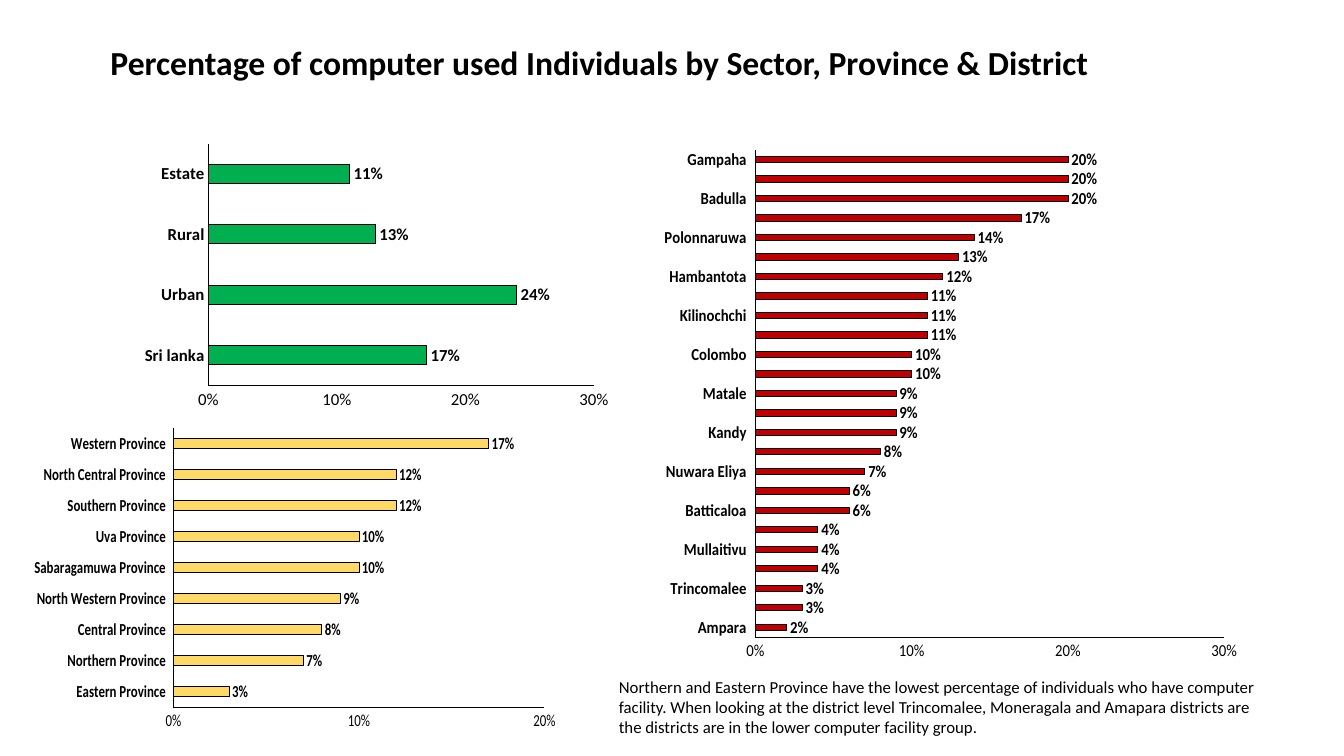
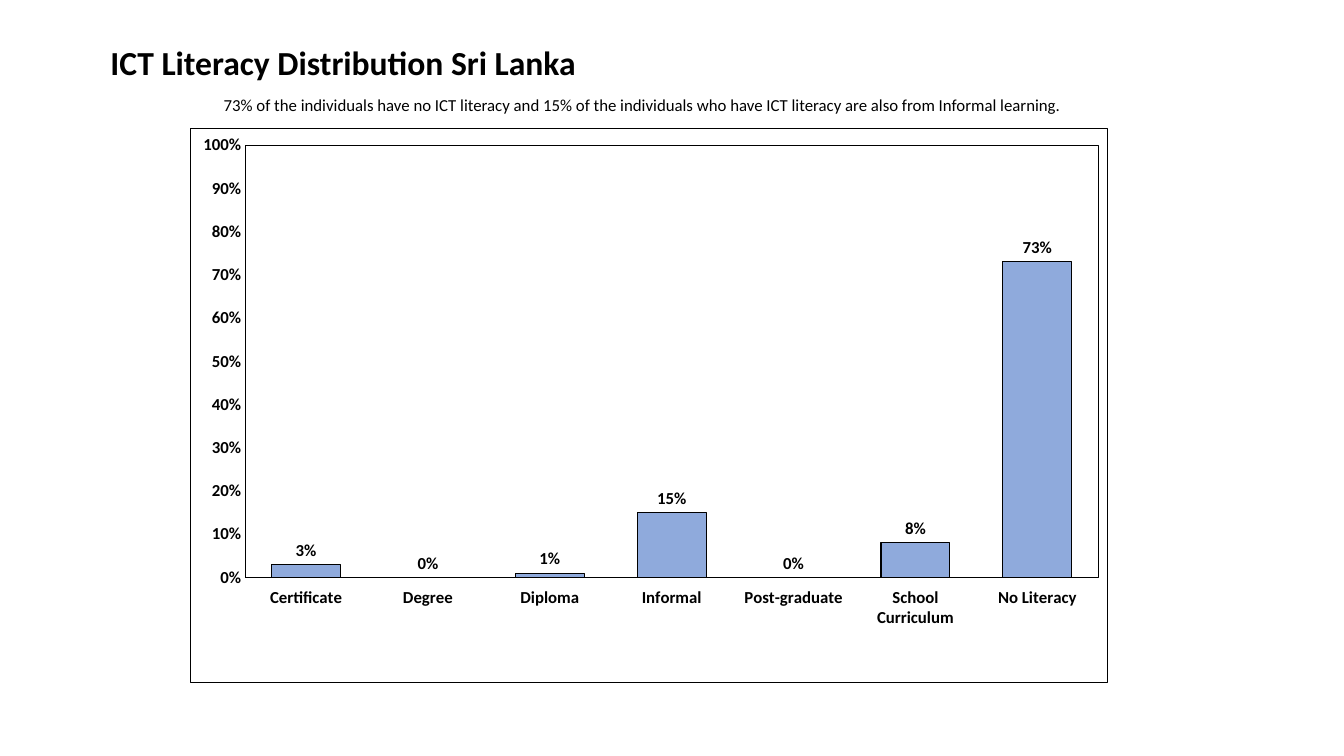
from dataclasses import dataclass

from pptx import Presentation
from pptx.chart.data import CategoryChartData
from pptx.dml.color import RGBColor
from pptx.enum.chart import XL_CHART_TYPE, XL_LABEL_POSITION, XL_TICK_LABEL_POSITION, XL_TICK_MARK
from pptx.enum.text import MSO_ANCHOR, MSO_AUTO_SIZE, PP_ALIGN
from pptx.oxml import parse_xml
from pptx.oxml.ns import nsdecls, qn
from pptx.util import Inches, Pt


@dataclass(frozen=True)
class Theme:
    """Colours, font and sizes shared by all slides."""
    font: str = "Calibri"
    ink: str = "000000"
    green: str = "00B050"
    gold: str = "FFD966"
    red: str = "C00000"
    blue: str = "8FAADC"
    head: int = 24
    body: int = 12
    base: int = 10
    line: float = 0.75
    plot: tuple = (0.06, 0.03, 0.93, 0.78)


class Deck:
    """Draws titles, notes and charts on the current slide."""

    def __init__(self, theme):
        """Open an empty wide deck."""
        self.theme = theme
        self.deck = Presentation()
        self.deck.slide_width = Inches(13.33)
        self.deck.slide_height = Inches(7.5)
        self.slide = None

    def style(self, font, size, bold=False):
        """Set the theme font on a run, axis or label."""
        font.name = self.theme.font
        font.size = Pt(size)
        font.bold = bold
        font.color.rgb = RGBColor.from_string(self.theme.ink)

    def add_text(self, para, text, size, bold=False):
        """Add one styled run."""
        run = para.add_run()
        run.text = text
        self.style(run.font, size, bold)

    def page(self, title):
        """Start a slide with its title."""
        self.slide = self.deck.slides.add_slide(self.deck.slide_layouts[5])
        shape = self.slide.shapes.title
        shape.left, shape.top = Inches(0.92), Inches(0.4)
        shape.width, shape.height = Inches(11.5), Inches(0.49)
        frame = shape.text_frame
        frame.vertical_anchor = MSO_ANCHOR.MIDDLE
        para = frame.paragraphs[0]
        para.alignment = PP_ALIGN.LEFT
        para.line_spacing = 0.9
        self.add_text(para, title, self.theme.head, True)

    def note(self, box, text):
        """Add a wrapped text box."""
        frame = self.slide.shapes.add_textbox(*map(Inches, box)).text_frame
        frame.word_wrap = True
        frame.auto_size = MSO_AUTO_SIZE.SHAPE_TO_FIT_TEXT
        self.add_text(frame.paragraphs[0], text, self.theme.body)

    def edge(self, line):
        """Give a line the theme ink and width."""
        line.color.rgb = RGBColor.from_string(self.theme.ink)
        line.width = Pt(self.theme.line)

    def axis(self, axis, bold):
        """Style one axis."""
        axis.has_major_gridlines = False
        axis.major_tick_mark = axis.minor_tick_mark = XL_TICK_MARK.NONE
        self.edge(axis.format.line)
        self.style(axis.tick_labels.font, self.theme.body, bold)

    def place(self, chart):
        """Fix the inner plot area."""
        area = chart._chartSpace.chart.plotArea
        for old in area.findall(qn("c:layout")):
            area.remove(old)
        parts = "".join(f'<c:{key} val="{val}"/>' for key, val in zip("xywh", self.theme.plot))
        area.insert(0, parse_xml(
            f'<c:layout {nsdecls("c")}><c:manualLayout><c:layoutTarget val="inner"/>'
            f'<c:xMode val="edge"/><c:yMode val="edge"/>{parts}</c:manualLayout></c:layout>'))

    def border(self, chart):
        """Outline the chart and its plot area."""
        space = chart._chartSpace
        xml = (f'<c:spPr {nsdecls("c", "a")}><a:noFill/><a:ln w="{Pt(self.theme.line)}"><a:solidFill>'
               f'<a:srgbClr val="{self.theme.ink}"/></a:solidFill></a:ln></c:spPr>')
        space.chart.plotArea.append(parse_xml(xml))
        space.chart.addnext(parse_xml(xml))

    def chart(self, box, data, color, top, kind=XL_CHART_TYPE.BAR_CLUSTERED,
              gap=219, fixed=True, bold=False, framed=False):
        """Add a one-series bar or column chart of percentages."""
        source = CategoryChartData(number_format="0%")
        source.categories = [name for name, _ in data]
        source.add_series("Series 1", [val / 100 for _, val in data])
        chart = self.slide.shapes.add_chart(kind, *map(Inches, box), source).chart
        chart.has_legend = chart.has_title = False
        self.style(chart.font, self.theme.base)

        self.axis(chart.category_axis, True)
        scale = chart.value_axis
        self.axis(scale, bold)
        scale.minimum_scale, scale.maximum_scale, scale.major_unit = 0, top, 0.1
        scale.tick_labels.number_format = "0%"
        scale.tick_labels.number_format_is_linked = False

        plot = chart.plots[0]
        plot.gap_width = gap
        plot.vary_by_categories = False
        bars = plot.series[0]
        bars.invert_if_negative = False
        bars.format.fill.solid()
        bars.format.fill.fore_color.rgb = RGBColor.from_string(color)
        self.edge(bars.format.line)
        tags = bars.data_labels
        tags.show_value = True
        tags.number_format = "0%"
        tags.number_format_is_linked = False
        tags.position = XL_LABEL_POSITION.OUTSIDE_END
        self.style(tags.font, self.theme.body, True)

        if fixed:
            chart.category_axis.tick_label_position = XL_TICK_LABEL_POSITION.LOW
            self.place(chart)
        if framed:
            self.border(chart)


SECTOR = [("Sri lanka", 17), ("Urban", 24), ("Rural", 13), ("Estate", 11)]
REGION = [
    ("Eastern Province", 3), ("Northern Province", 7), ("Central Province", 8),
    ("North Western Province", 9), ("Sabaragamuwa Province", 10), ("Uva Province", 10),
    ("Southern Province", 12), ("North Central Province", 12), ("Western Province", 17),
]
TOWN = [
    ("Ampara", 2), ("Moneragala", 3), ("Trincomalee", 3), ("Rathnapura", 4), ("Mullaitivu", 4),
    ("Vavuniya", 4), ("Batticaloa", 6), ("Mannar", 6), ("Nuwara Eliya", 7), ("Kurunegala", 8),
    ("Kandy", 9), ("Anuradhapura", 9), ("Matale", 9), ("Matara", 10), ("Colombo", 10),
    ("Jaffna", 11), ("Kilinochchi", 11), ("Puttalam", 11), ("Hambantota", 12), ("Galle", 13),
    ("Polonnaruwa", 14), ("Kegalle", 17), ("Badulla", 20), ("Kalutara", 20), ("Gampaha", 20),
]
SKILL = [
    ("Certificate", 3), ("Degree", 0), ("Diploma", 1), ("Informal", 15),
    ("Post-graduate", 0), ("School Curriculum", 8), ("No Literacy", 73),
]


def main():
    """Build both slides and save them."""
    theme = Theme()
    deck = Deck(theme)

    deck.page(" Percentage of computer used Individuals by Sector, Province & District")
    deck.chart((1.34, 1.37, 4.79, 2.75), SECTOR, theme.green, 0.3, fixed=False)
    deck.chart((0.34, 4.14, 5.17, 3.55), REGION, theme.gold, 0.2)
    deck.chart((6.59, 1.3, 5.68, 6.2), TOWN, theme.red, 0.3)
    deck.note((6.04, 6.66, 6.54, 0.71),
              "Northern and Eastern Province have the lowest percentage of individuals who have "
              "computer facility. When looking at the district level Trincomalee, Moneragala and "
              "Amapara districts are the districts are in the lower computer facility group.")

    deck.page(" ICT Literacy Distribution Sri Lanka")
    deck.chart((1.88, 1.27, 9.11, 5.51), SKILL, theme.blue, 1,
               kind=XL_CHART_TYPE.COLUMN_CLUSTERED, gap=77, bold=True, framed=True)
    deck.note((2.12, 0.89, 9.91, 0.3),
              "73% of the individuals have no ICT literacy and 15% of the individuals who have "
              "ICT literacy are also from Informal learning.")

    deck.deck.save("out.pptx")


if __name__ == "__main__":
    main()
